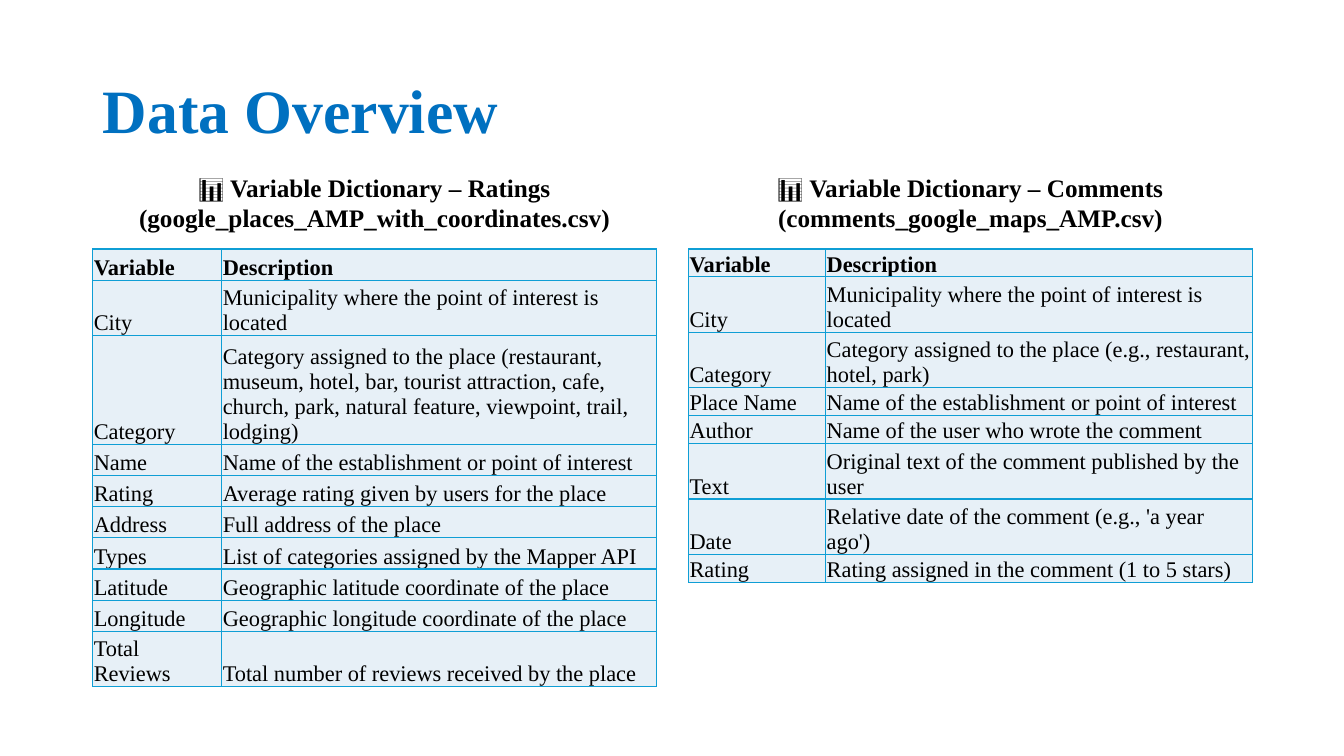
"""Build the Data Overview slide with two variable dictionaries."""
from lxml import etree
from pptx import Presentation
from pptx.dml.color import RGBColor
from pptx.enum.text import MSO_ANCHOR, PP_ALIGN
from pptx.oxml.ns import qn
from pptx.util import Inches, Pt

MIDDLE, BOTTOM = MSO_ANCHOR.MIDDLE, MSO_ANCHOR.BOTTOM
LEFT, CENTER = PP_ALIGN.LEFT, PP_ALIGN.CENTER
FONT = "Times New Roman"
BLUE, BLACK, PALE, BORDER = "0070C0", "000000", "E7F0F7", "0F9ED5"

TITLE = "Data Overview"
HEADER = ("Variable", "Description")
RATINGS = [
    (*HEADER, 0.31),
    ("City", "Municipality where the point of interest is located", 0.55),
    ("Category", "Category assigned to the place (restaurant, museum, hotel, bar, "
     "tourist attraction, cafe, church, park, natural feature, viewpoint, trail, lodging)", 1.07),
    ("Name", "Name of the establishment or point of interest", 0.31),
    ("Rating", "Average rating given by users for the place", 0.31),
    ("Address", "Full address of the place", 0.31),
    ("Types", "List of categories assigned by the Mapper API", 0.31),
    ("Latitude", "Geographic latitude coordinate of the place", 0.31),
    ("Longitude", "Geographic longitude coordinate of the place", 0.31),
    ("Total Reviews", "Total number of reviews received by the place", 0.54),
]
COMMENTS = [
    (*HEADER, 0.27),
    ("City", "Municipality where the point of interest is located", 0.55),
    ("Category", "Category assigned to the place (e.g., restaurant, hotel, park)", 0.55),
    ("Place Name", "Name of the establishment or point of interest", 0.27),
    ("Author", "Name of the user who wrote the comment", 0.27),
    ("Text", "Original text of the comment published by the user", 0.55),
    ("Date", "Relative date of the comment (e.g., 'a year ago')", 0.55),
    ("Rating", "Rating assigned in the comment (1 to 5 stars)", 0.27),
]
DICTIONARIES = [
    (0.92, 1.28, "Variable Dictionary – Ratings (google_places_AMP_with_coordinates.csv)", RATINGS),
    (6.83, 1.36, "Variable Dictionary – Comments (comments_google_maps_AMP.csv)", COMMENTS),
]
CAPTION_TOP, CAPTION_HEIGHT = 1.65, 0.71
TABLE_TOP, PANEL_WIDTH = 2.47, 5.59


def rgb(value):
    return RGBColor.from_string(value)


def style(font, size, color, bold=None):
    font.name, font.size, font.bold = FONT, Pt(size), bold
    font.color.rgb = rgb(color)


def add_borders(cell):
    properties = cell._tc.get_or_add_tcPr()
    for side in ("lnL", "lnR", "lnT", "lnB"):
        line = etree.SubElement(properties, qn(f"a:{side}"), w=str(Pt(1)))
        fill = etree.SubElement(line, qn("a:solidFill"))
        etree.SubElement(fill, qn("a:srgbClr"), val=BORDER)


def add_title(page):
    title = page.shapes.title
    title.left, title.top = Inches(0.92), Inches(0.4)
    title.width, title.height = Inches(11.5), Inches(1.45)
    title.text_frame.text = TITLE
    title.text_frame.vertical_anchor = MIDDLE
    para = title.text_frame.paragraphs[0]
    para.alignment, para.line_spacing = LEFT, 0.9
    style(para.font, 44, BLUE, True)


def add_caption(page, left, caption):
    box = page.shapes.add_textbox(Inches(left), Inches(CAPTION_TOP),
                                  Inches(PANEL_WIDTH), Inches(CAPTION_HEIGHT))
    frame = box.text_frame
    frame.word_wrap, frame.vertical_anchor = True, MIDDLE
    para = frame.paragraphs[0]
    para.alignment = CENTER
    style(para.font, 18, BLACK)
    for text, bold in (("📊 ", False), (caption, True)):
        span = para.add_run()
        span.text, span.font.bold = text, bold


def fill_cell(cell, text, bold):
    cell.margin_left = cell.margin_right = cell.margin_top = Inches(0.01)
    cell.margin_bottom = 0
    cell.vertical_anchor = BOTTOM
    add_borders(cell)
    cell.fill.solid()
    cell.fill.fore_color.rgb = rgb(PALE)
    cell.text = text
    style(cell.text_frame.paragraphs[0].font, 16, BLACK, bold)


def add_dictionary(page, left, name_width, entries):
    height = sum(entry[2] for entry in entries)
    table = page.shapes.add_table(len(entries), 2, Inches(left), Inches(TABLE_TOP),
                                  Inches(PANEL_WIDTH), Inches(height)).table
    table.first_row = table.horz_banding = False
    table.columns[0].width = Inches(name_width)
    table.columns[1].width = Inches(PANEL_WIDTH - name_width)
    for index, (variable, description, row_height) in enumerate(entries):
        table.rows[index].height = Inches(row_height)
        for column, text in enumerate((variable, description)):
            fill_cell(table.cell(index, column), text, index == 0)


def main():
    deck = Presentation()
    deck.slide_width, deck.slide_height = Inches(13.33), Inches(7.5)
    page = deck.slides.add_slide(deck.slide_layouts[5])
    add_title(page)
    for left, name_width, caption, entries in DICTIONARIES:
        add_caption(page, left, caption)
        add_dictionary(page, left, name_width, entries)
    deck.save("out.pptx")


if __name__ == "__main__":
    main()
